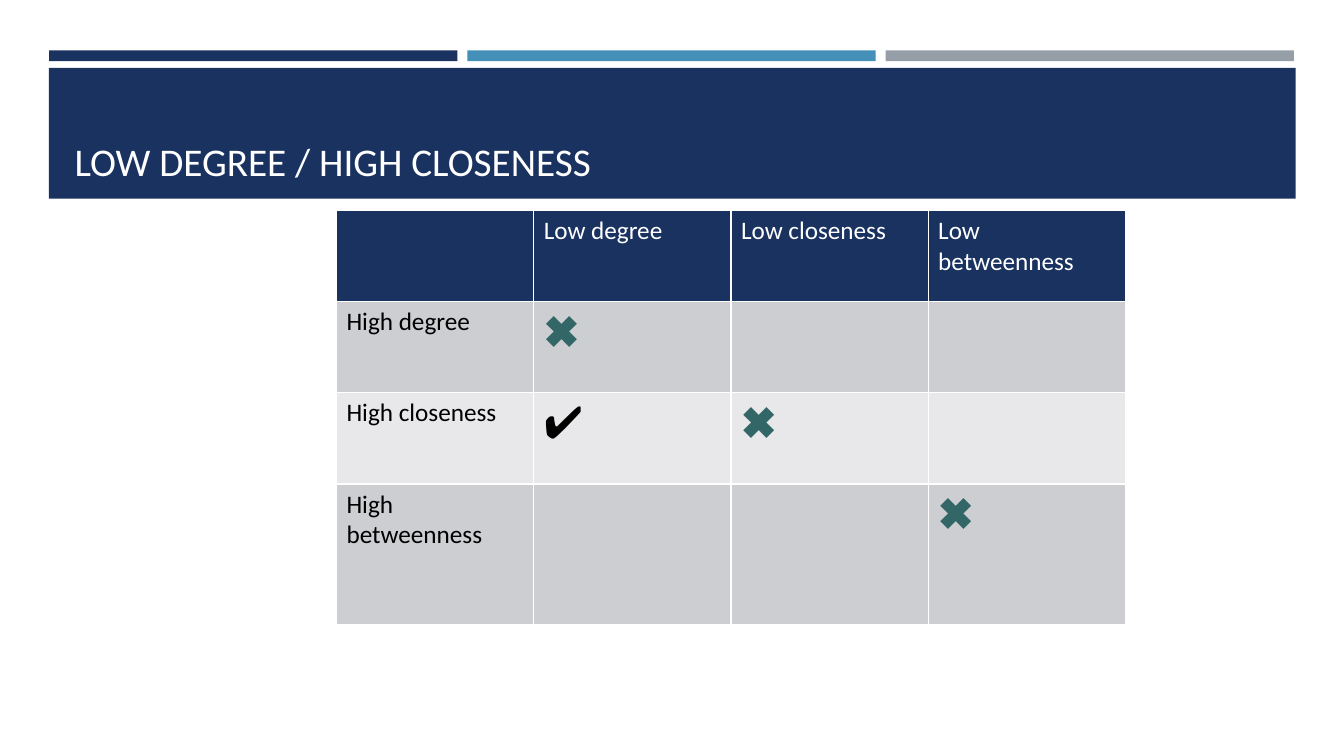
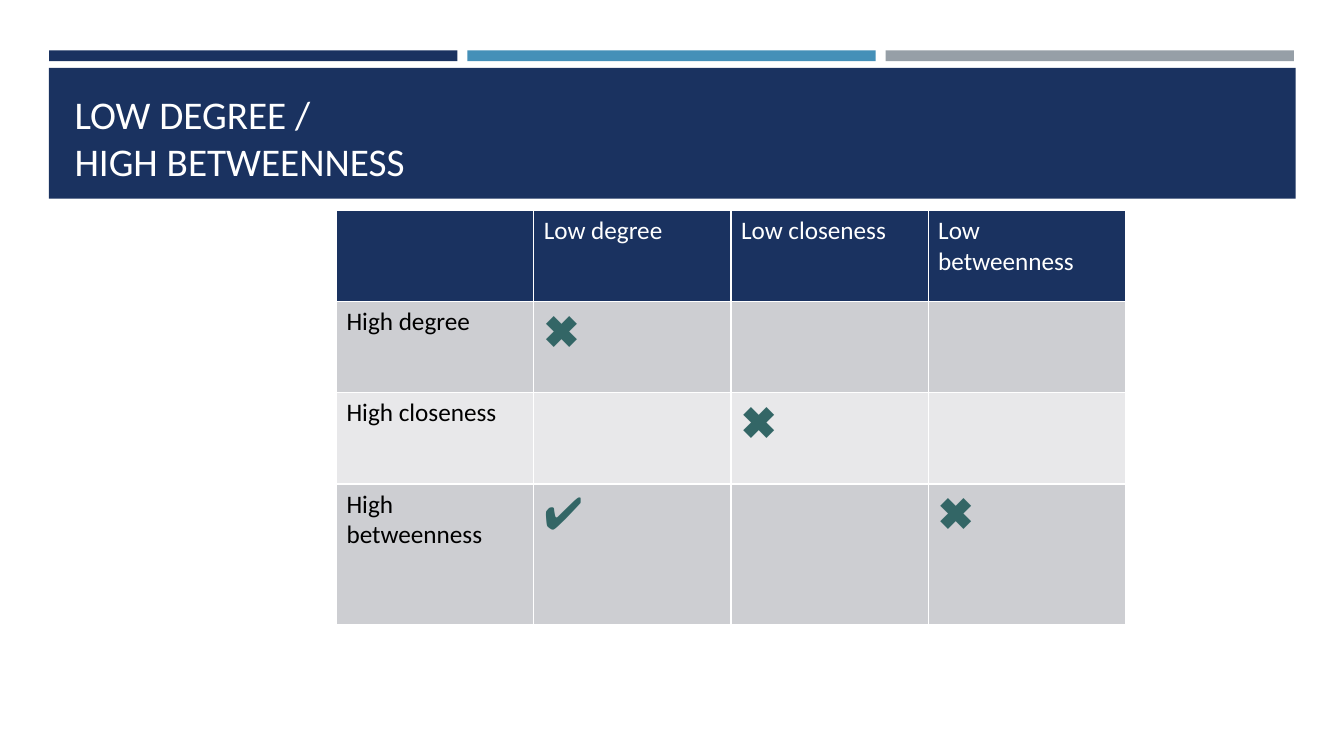
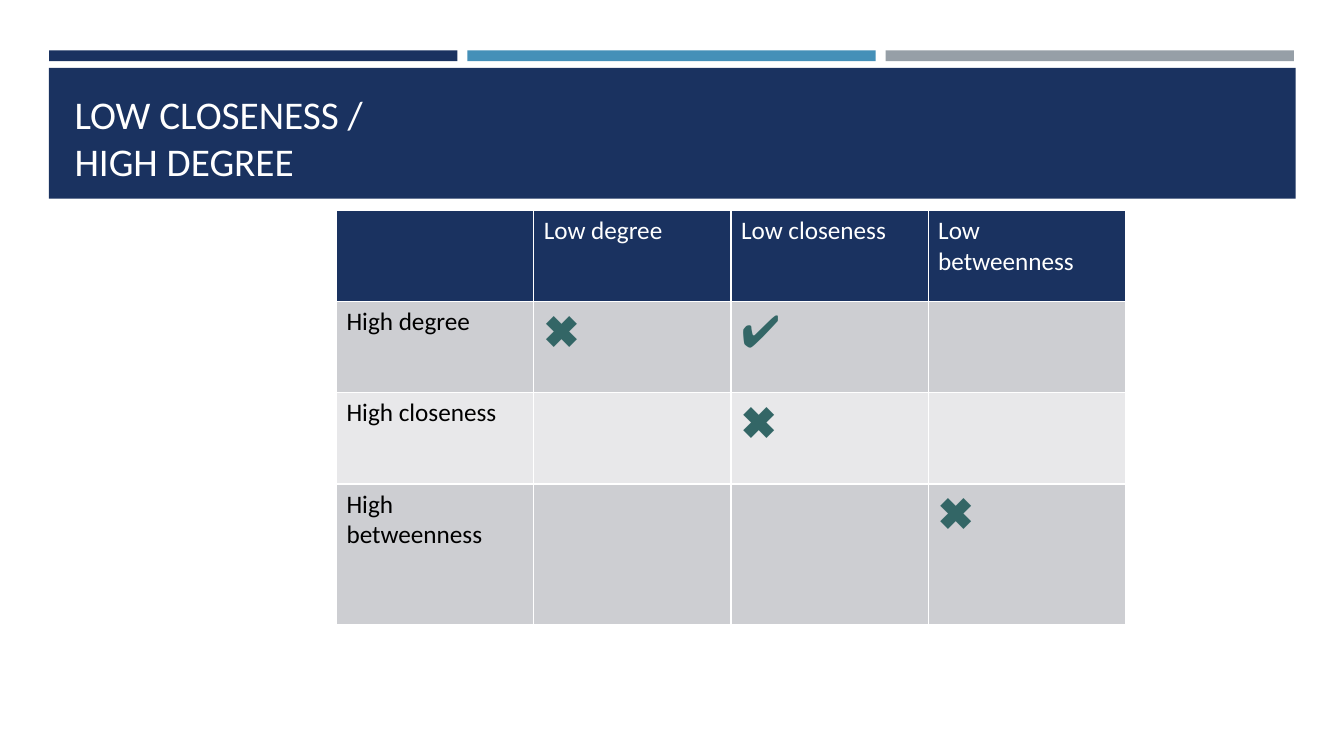
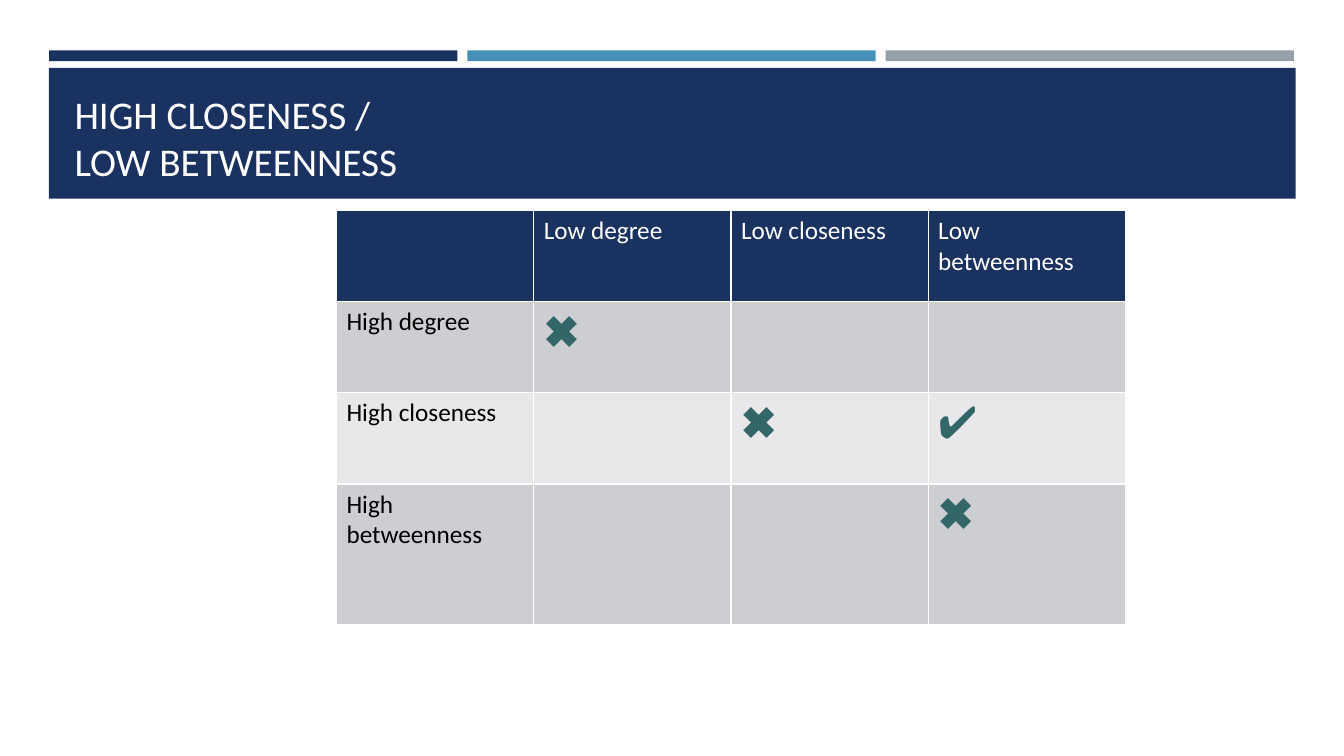
import pptx
import pptx.dml.color
import pptx.enum.shapes
import pptx.enum.text
import pptx.oxml.ns
import pptx.util
from lxml import etree

Cm = pptx.util.Cm
Pt = pptx.util.Pt

HUES = {
    "navy": "1A3260",
    "blue": "4590B8",
    "gray": "969FA7",
    "dark": "CDCED2",
    "light": "E8E8EA",
    "teal": "336666",
    "black": "000000",
    "white": "FFFFFF",
}
TRAITS = ["degree", "closeness", "betweenness"]
CROSS, CHECK = "✖", "✔"
BAR_W, BAR_GAP = 10.29, 0.25
COL_W = 4.97
ROWS = [2.3, 2.3, 2.3, 3.55]

SLIDES = [
    (["LOW DEGREE / HIGH CLOSENESS"], "closeness", "degree", "black"),
    (["LOW DEGREE /", "HIGH BETWEENNESS"], "betweenness", "degree", "teal"),
    (["LOW CLOSENESS /", "HIGH DEGREE"], "degree", "closeness", "teal"),
    (["HIGH CLOSENESS /", "LOW BETWEENNESS"], "closeness", "betweenness", "teal"),
]


def paint(fill, hue):
    fill.solid()
    fill.fore_color.rgb = pptx.dml.color.RGBColor.from_string(HUES[hue])


def add_run(para, text, size, hue, face="Calibri"):
    run = para.add_run()
    run.text = text
    font = run.font
    font.name, font.size, font.bold = face, Pt(size), False
    paint(font.fill, hue)


def add_rect(slide, left, top, width, height, hue):
    rect = slide.shapes.add_shape(
        pptx.enum.shapes.MSO_SHAPE.RECTANGLE,
        Cm(left), Cm(top), Cm(width), Cm(height))
    rect.shadow.inherit = False
    paint(rect.fill, hue)
    rect.line.fill.background()


def add_head(slide, lines):
    for col, hue in enumerate(["navy", "blue", "gray"]):
        add_rect(slide, 1.24 + col * (BAR_W + BAR_GAP), 1.27, BAR_W, 0.27, hue)
    add_rect(slide, 1.23, 1.71, 31.42, 3.3, "navy")
    box = slide.shapes.add_textbox(Cm(1.63), Cm(1.96), Cm(30.63), Cm(2.82))
    frame = box.text_frame
    frame.word_wrap = True
    frame.vertical_anchor = pptx.enum.text.MSO_ANCHOR.BOTTOM
    para = frame.paragraphs[0]
    for num, line in enumerate(lines):
        if num:
            para.add_line_break()
        add_run(para, line, 28, "white")


def edge_cell(cell):
    props = cell._tc.get_or_add_tcPr()
    qn = pptx.oxml.ns.qn
    for spot, side in enumerate(["lnL", "lnR", "lnT", "lnB"]):
        line = etree.Element(qn("a:" + side), w=str(Pt(1)))
        fill = etree.SubElement(line, qn("a:solidFill"))
        etree.SubElement(fill, qn("a:srgbClr"), val=HUES["white"])
        props.insert(spot, line)


def fill_cell(cell, row, col, high, low, tick):
    para = cell.text_frame.paragraphs[0]
    if row == 0 and col:
        add_run(para, "Low " + TRAITS[col - 1], 18, "white")
    elif row and col == 0:
        add_run(para, "High " + TRAITS[row - 1], 18, "black")
    elif row and row == col:
        add_run(para, CROSS, 32, "teal", "Arial")
    elif row and (TRAITS[row - 1], TRAITS[col - 1]) == (high, low):
        add_run(para, CHECK, 32, tick, "Arial")


def add_grid(slide, high, low, tick):
    size = len(ROWS)
    table = slide.shapes.add_table(
        size, size, Cm(8.48), Cm(5.3), Cm(COL_W * size), Cm(sum(ROWS))).table
    table.horz_banding = False
    for col in table.columns:
        col.width = Cm(COL_W)
    for row, tall in enumerate(ROWS):
        table.rows[row].height = Cm(tall)
        hue = "navy" if row == 0 else "dark" if row % 2 else "light"
        for col in range(size):
            cell = table.cell(row, col)
            paint(cell.fill, hue)
            edge_cell(cell)
            fill_cell(cell, row, col, high, low, tick)


def main():
    deck = pptx.Presentation()
    deck.slide_width, deck.slide_height = Cm(33.87), Cm(19.05)
    for lines, high, low, tick in SLIDES:
        slide = deck.slides.add_slide(deck.slide_layouts[6])
        add_head(slide, lines)
        add_grid(slide, high, low, tick)
    deck.save("out.pptx")


if __name__ == "__main__":
    main()
